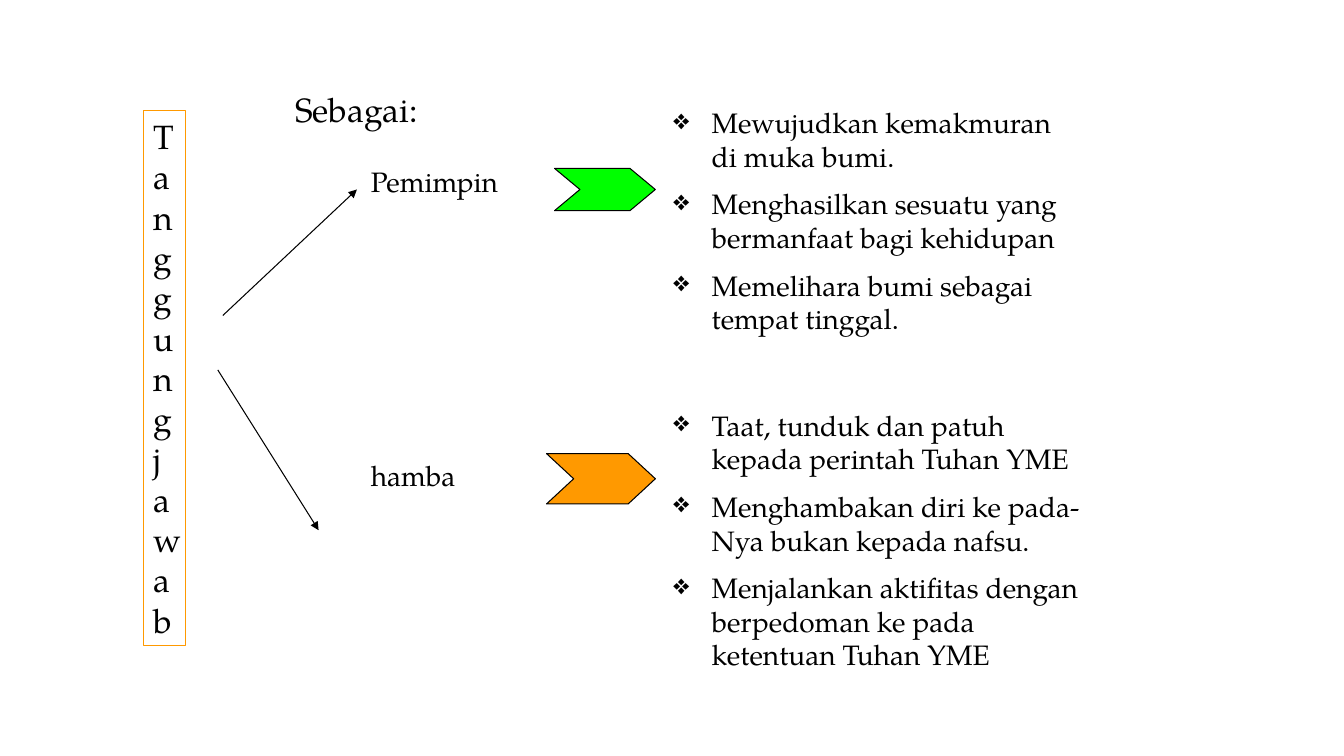
from lxml.etree import SubElement
from pptx import Presentation
from pptx.dml.color import RGBColor
from pptx.enum.shapes import MSO_CONNECTOR, MSO_SHAPE
from pptx.enum.text import MSO_ANCHOR, PP_ALIGN
from pptx.oxml.ns import qn
from pptx.util import Inches, Pt


def color(code):
    return RGBColor.from_string(code)


class Board:
    font = "TeX Gyre Pagella"
    ink = "000000"
    thin = Pt(0.75)
    indent = Inches(0.38)

    def __init__(self, slide):
        self.slide = slide

    def label(self, shape, lines, size, bullet=None):
        frame = shape.text_frame
        frame.word_wrap = True
        frame.vertical_anchor = MSO_ANCHOR.TOP
        for index, line in enumerate(lines):
            para = frame.add_paragraph() if index else frame.paragraphs[0]
            para.text = line
            para.alignment = PP_ALIGN.LEFT
            para.font.name = self.font
            para.font.size = Pt(size)
            para.font.color.rgb = color(self.ink)
            if index:
                para.space_before = Pt(size / 2)
            if bullet:
                props = para._p.get_or_add_pPr()
                props.set("marL", str(self.indent))
                props.set("indent", str(-self.indent))
                mark = SubElement(props, qn("a:buChar"))
                mark.set("char", bullet)
                props.find(qn("a:defRPr")).addprevious(mark)

    def text(self, box, lines, size=20, bullet=None):
        shape = self.slide.shapes.add_textbox(*map(Inches, box))
        self.label(shape, lines, size, bullet)

    def shape(self, kind, box, line, fill=None):
        shape = self.slide.shapes.add_shape(kind, *map(Inches, box))
        shape.shadow.inherit = False
        shape.line.color.rgb = color(line)
        shape.line.width = self.thin
        if fill:
            shape.fill.solid()
            shape.fill.fore_color.rgb = color(fill)
        else:
            shape.fill.background()
        return shape

    def banner(self, box, title, line):
        self.label(self.shape(MSO_SHAPE.RECTANGLE, box, line), [title], 24)

    def chevron(self, box, fill, notch):
        shape = self.shape(MSO_SHAPE.CHEVRON, box, self.ink, fill)
        shape.adjustments[0] = notch

    def arrow(self, start, end):
        arrow = self.slide.shapes.add_connector(
            MSO_CONNECTOR.STRAIGHT, *map(Inches, start + end))
        arrow.line.color.rgb = color(self.ink)
        arrow.line.width = self.thin
        props = arrow._element.spPr
        SubElement(props.find(qn("a:ln")), qn("a:tailEnd")).set("type", "triangle")
        SubElement(props, qn("a:effectLst"))


def main():
    deck = Presentation()
    deck.slide_width = Inches(13.33)
    deck.slide_height = Inches(7.5)
    board = Board(deck.slides.add_slide(deck.slide_layouts[6]))

    board.banner((1.42, 1.1, 0.42, 5.3), "Tanggung jawab", "FF9900")
    board.text((2.83, 0.83, 2.08, 0.5), ["Sebagai:"], 24)

    board.text((3.58, 1.58, 1.83, 0.43), ["Pemimpin"])
    board.text((6.58, 1, 4.08, 2.46), [
        "Mewujudkan kemakmuran di muka bumi.",
        "Menghasilkan sesuatu yang bermanfaat bagi kehidupan",
        "Memelihara bumi sebagai tempat tinggal.",
    ], bullet="❖")

    board.text((3.58, 4.5, 2, 0.44), ["hamba"])
    board.text((6.58, 4, 4.33, 2.79), [
        "Taat, tunduk dan patuh kepada perintah Tuhan YME",
        "Menghambakan diri ke pada-Nya bukan kepada nafsu.",
        "Menjalankan aktifitas dengan berpedoman ke pada ketentuan Tuhan YME",
    ], bullet="❖")

    board.arrow((2.21, 3.13), (3.54, 1.88))
    board.arrow((2.16, 3.67), (3.16, 5.26))
    board.chevron((5.42, 4.5, 1.08, 0.5), "FF9900", 0.54)
    board.chevron((5.5, 1.67, 1, 0.42), "00FF00", 0.6)

    deck.save("out.pptx")


if __name__ == "__main__":
    main()
